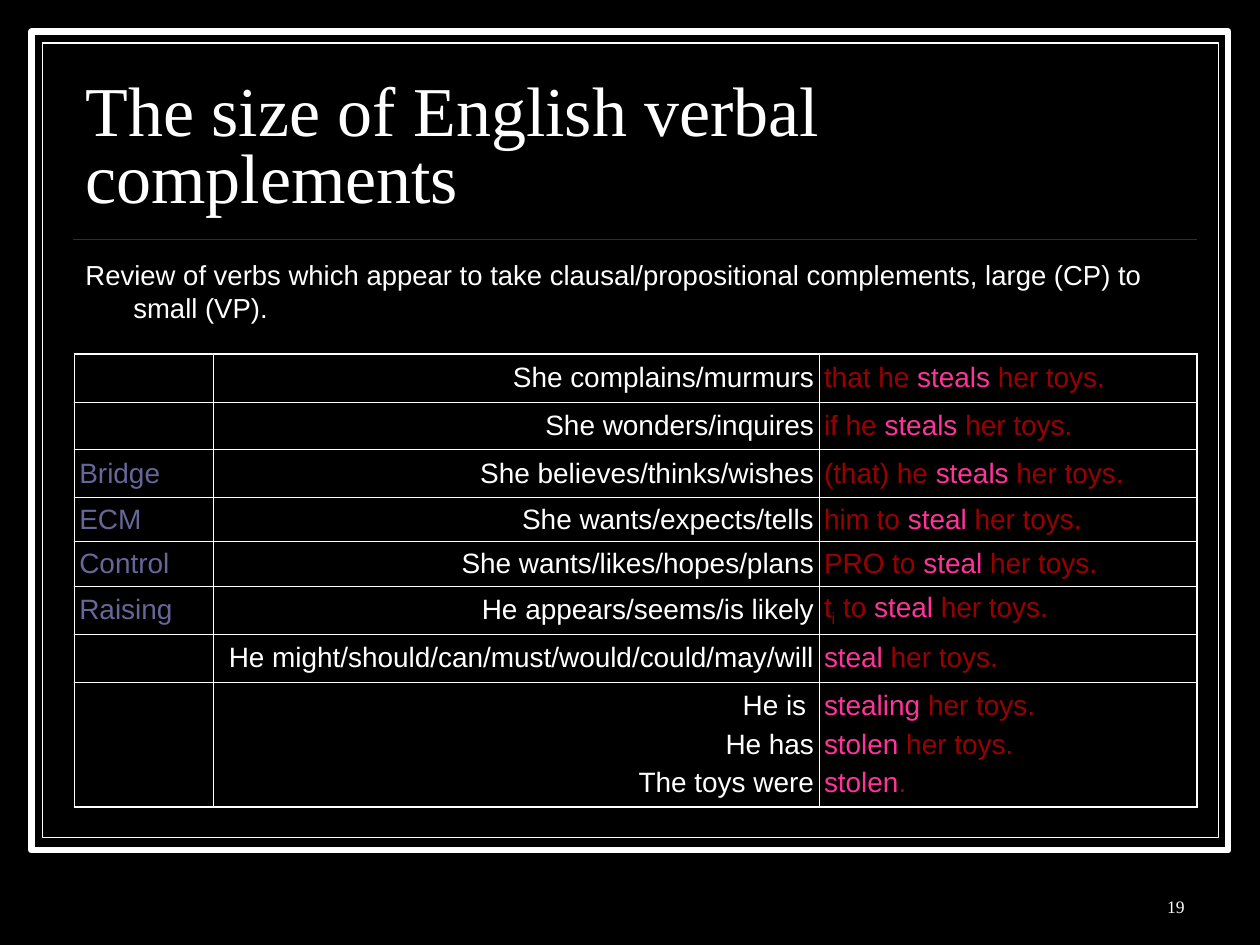
"""Build the slide on the size of English verbal complements."""
import pptx
import pptx.dml.color
import pptx.enum.shapes
import pptx.enum.text
import pptx.oxml.ns
import pptx.util
from lxml import etree

Inches, Pt = pptx.util.Inches, pptx.util.Pt
ALIGN = pptx.enum.text.PP_ALIGN
ANCHOR = pptx.enum.text.MSO_ANCHOR
qn = pptx.oxml.ns.qn

BLACK, WHITE, RED, PINK, SLATE = "000000", "FFFFFF", "990000", "FF3399", "666699"
SERIF, SANS = "Times New Roman", "Arial"
TOYS = " her toys."


def rgb(value):
    return pptx.dml.color.RGBColor.from_string(value)


def write(tf, paras, size=16, font=SANS, color=WHITE, align=ALIGN.LEFT,
          before=0, spacing=None, left=0, indent=0):
    """Fill a text frame; a run is (text,), (text, colour) or (text, colour, baseline)."""
    for i, runs in enumerate(paras):
        p = tf.paragraphs[0] if i == 0 else tf.add_paragraph()
        p.alignment, p.space_before = align, Pt(before)
        if spacing:
            p.line_spacing = spacing
        if left:
            pPr = p._p.get_or_add_pPr()
            pPr.set("marL", str(Inches(left)))
            pPr.set("indent", str(Inches(indent)))
        for text, *style in runs:
            r = p.add_run()
            r.text = text
            r.font.size, r.font.name = Pt(size), font
            r.font.color.rgb = rgb(style[0] if style else color)
            if len(style) > 1:
                r.font._element.set("baseline", str(style[1] * 1000))


class Deck:
    """Hold the presentation style and the current slide."""

    thin, thick = 0.45, 1.08

    def __init__(self):
        self.prs = pptx.Presentation()
        self.prs.slide_width, self.prs.slide_height = Inches(10), Inches(7.5)
        self.s = self.prs.slides.add_slide(self.prs.slide_layouts[6])
        fill = self.s.background.fill
        fill.solid()
        fill.fore_color.rgb = rgb(BLACK)

    def frame(self, x, y, w, h, weight):
        sp = self.s.shapes.add_shape(pptx.enum.shapes.MSO_SHAPE.RECTANGLE,
                                     Inches(x), Inches(y), Inches(w), Inches(h))
        sp.shadow.inherit = False
        sp.fill.solid()
        sp.fill.fore_color.rgb = rgb(BLACK)
        sp.line.color.rgb, sp.line.width = rgb(WHITE), Pt(weight)

    def rule(self, x1, x2, y):
        sp = self.s.shapes.add_connector(pptx.enum.shapes.MSO_CONNECTOR.STRAIGHT,
                                         Inches(x1), Inches(y), Inches(x2), Inches(y))
        sp.line.color.rgb, sp.line.width = rgb(RED), Pt(1)
        etree.SubElement(sp._element.spPr, qn("a:effectLst"))

    def text(self, x, y, w, h, text, anchor=ANCHOR.TOP, **fmt):
        tf = self.s.shapes.add_textbox(Inches(x), Inches(y), Inches(w), Inches(h)).text_frame
        tf.word_wrap, tf.vertical_anchor = True, anchor
        write(tf, [[(text,)]], **fmt)

    def border(self, cell, side, weight):
        ln = etree.SubElement(cell._tc.get_or_add_tcPr(), qn("a:ln" + side), w=str(Pt(weight)))
        fill = etree.SubElement(ln, qn("a:solidFill"))
        etree.SubElement(fill, qn("a:srgbClr"), val=WHITE)

    def table(self, x, y, widths, heights, rows):
        shape = self.s.shapes.add_table(len(rows), len(widths), Inches(x), Inches(y),
                                        Inches(sum(widths)), Inches(sum(heights)))
        table = shape.table
        table.first_row = table.horz_banding = False
        for col, width in zip(table.columns, widths):
            col.width = Inches(width)
        for row, height in zip(table.rows, heights):
            row.height = Inches(height)
        for i, row in enumerate(rows):
            for j, paras in enumerate(row):
                cell = table.cell(i, j)
                cell.vertical_anchor = ANCHOR.MIDDLE
                cell.margin_left = cell.margin_right = Inches(0.04)
                cell.margin_top = cell.margin_bottom = Inches(0.04)
                outer = {"L": j == 0, "R": j == len(widths) - 1,
                         "T": i == 0, "B": i == len(rows) - 1}
                for side, edge in outer.items():
                    self.border(cell, side, self.thick if edge else self.thin)
                cell.fill.background()
                write(cell.text_frame, paras, before=4,
                      align=ALIGN.RIGHT if j == 1 else ALIGN.LEFT)


def complement(verb, *lead, tail=TOYS):
    return [*lead, (verb, PINK), (tail, RED)]


def main():
    deck = Deck()
    deck.frame(0.25, 0.25, 9.5, 6.5, 3.5)
    deck.frame(0.34, 0.34, 9.33, 6.31, 0.75)
    deck.rule(0.58, 9.5, 1.9)
    deck.text(0.58, 0.52, 8.92, 1.25, "The size of English verbal complements",
              anchor=ANCHOR.BOTTOM, size=40, font=SERIF, spacing=0.8)

    trace = [("t", RED), ("i", RED, -25), (" to ", RED)]
    verbs = [
        ("", ["She complains/murmurs"], [complement("steals", ("that he ", RED))]),
        ("", ["She wonders/inquires"], [complement("steals", ("if he ", RED))]),
        ("Bridge", ["She believes/thinks/wishes"], [complement("steals", ("(that) he ", RED))]),
        ("ECM", ["She wants/expects/tells"], [complement("steal", ("him to ", RED))]),
        ("Control", ["She wants/likes/hopes/plans"], [complement("steal", ("PRO to ", RED))]),
        ("Raising", ["He appears/seems/is likely"], [complement("steal", *trace)]),
        ("", ["He might/should/can/must/would/could/may/will"], [complement("steal")]),
        ("", ["He is ", "He has", "The toys were"],
         [complement("stealing"), complement("stolen"), complement("stolen", tail=".")]),
    ]
    rows = [([[(kind, SLATE)]] if kind else [], [[(t,)] for t in subjects], objects)
            for kind, subjects, objects in verbs]
    heights = [0.38] * 3 + [0.35] * 2 + [0.38] * 2 + [0.99]
    deck.table(0.59, 2.81, [1.1, 4.81, 3], heights, rows)

    deck.text(0.58, 2, 8.92, 0.65,
              "Review of verbs which appear to take clausal/propositional complements, "
              "large (CP) to small (VP).", size=15.7, before=4.2, left=0.38, indent=-0.38)
    deck.text(7.42, 6.83, 2.08, 0.5, "19", anchor=ANCHOR.BOTTOM, size=10, font=SERIF,
              align=ALIGN.RIGHT, left=0.24)
    deck.prs.save("out.pptx")


if __name__ == "__main__":
    main()
